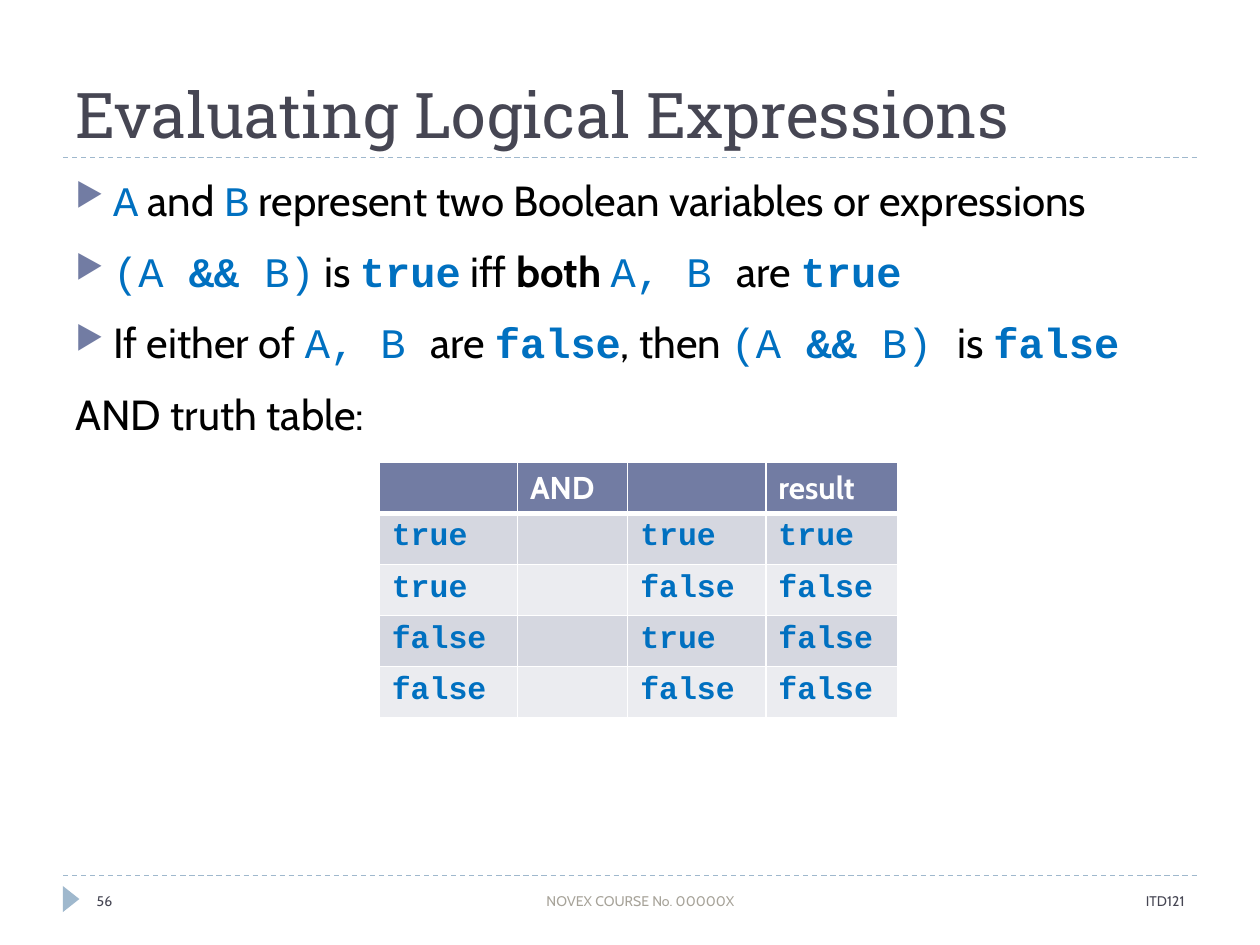
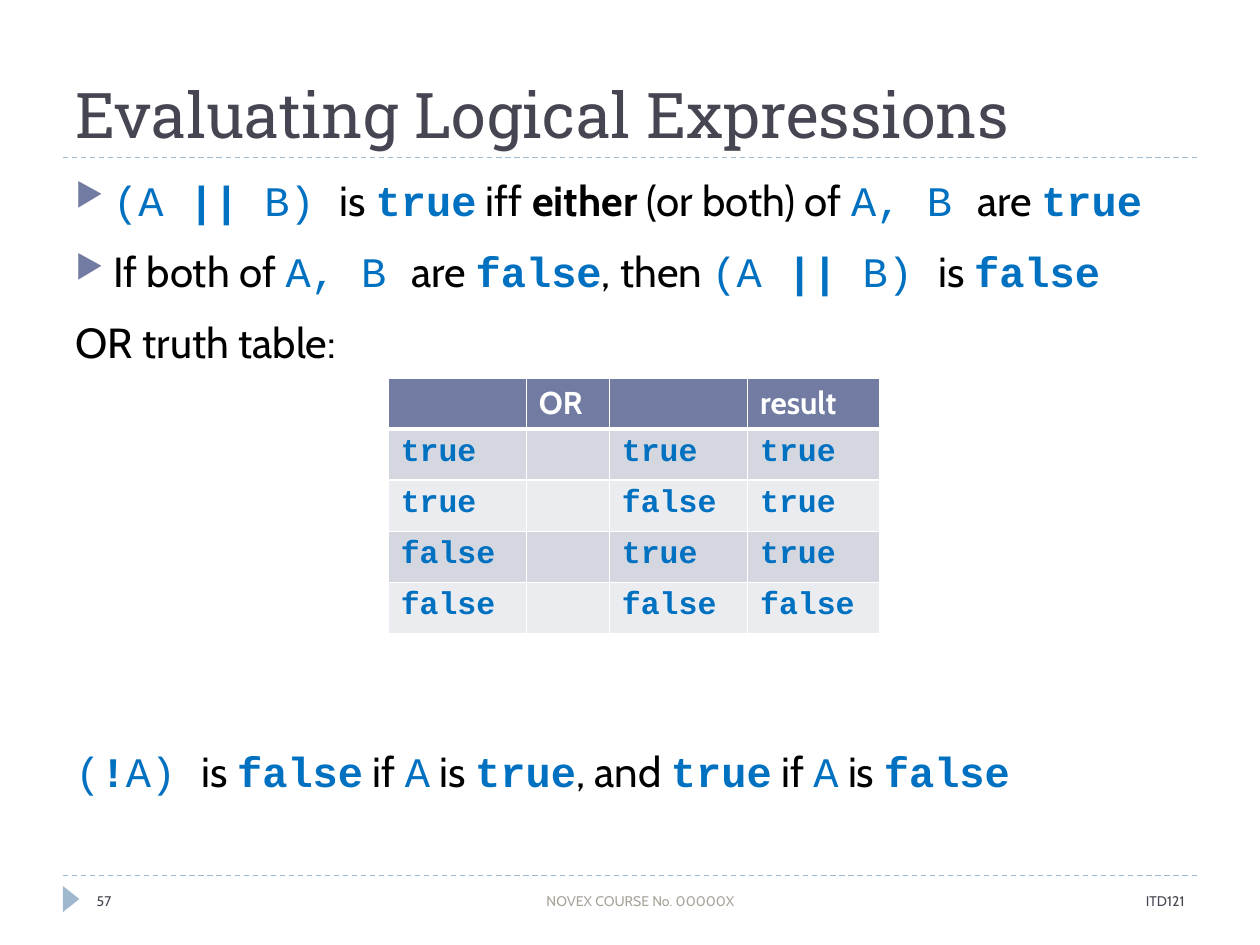
from itertools import product

from lxml.etree import SubElement as Sub
from pptx import Presentation
from pptx.dml.color import RGBColor as Color
from pptx.enum.dml import MSO_LINE_DASH_STYLE as Dash
from pptx.enum.shapes import MSO_CONNECTOR as Link, MSO_SHAPE as Shape
from pptx.enum.text import MSO_ANCHOR as Anchor, MSO_AUTO_SIZE as Auto, PP_ALIGN as Align
from pptx.oxml.ns import qn
from pptx.util import Pt

INK = Color(0x46, 0x46, 0x53)
BLACK = Color(0x00, 0x00, 0x00)
WHITE = Color(0xFF, 0xFF, 0xFF)
BLUE = Color(0x00, 0x70, 0xC0)
SKY = Color(0x9F, 0xB8, 0xCD)
STONE = Color(0xA7, 0xA3, 0x99)
SLATE = Color(0x72, 0x7C, 0xA3)
BANDS = Color(0xD5, 0xD7, 0xE0), Color(0xEB, 0xEC, 0xF0)

HEAD = {"name": "Roboto Slab", "size": Pt(36), "color": INK, "bold": False}
PROSE = {"name": "Cabin", "size": Pt(24), "color": BLACK, "bold": False}
CODE = PROSE | {"name": "Courier New", "color": BLUE}
NOTE = PROSE | {"size": Pt(8), "color": INK}
LABEL = PROSE | {"size": Pt(18), "color": WHITE, "bold": True}
VALUE = CODE | {"size": Pt(18), "bold": True}

LEFT, RIGHT = 36, 684
RULE, BASE = 90, 500.4
ROW = 29.2


def apply(item, form):
    for key, value in form.items():
        setattr(item, key, value)


def write(para, text, form):
    run = para.add_run()
    run.text = text
    apply(run.font, {k: v for k, v in form.items() if k != "color"})
    run.font.color.rgb = form["color"]


def bullet(para):
    props = para._p.get_or_add_pPr()
    props.set("marL", str(Pt(21.6)))
    props.set("indent", str(-Pt(21.6)))
    Sub(Sub(props, qn("a:buClr")), qn("a:srgbClr"), val=str(SLATE))
    Sub(props, qn("a:buSzPct"), val="76000")
    Sub(props, qn("a:buChar"), char="▶")


def border(cell, widths):
    props = cell._tc.get_or_add_tcPr()
    for side, width in zip("LRTB", widths):
        line = Sub(props, qn(f"a:ln{side}"), w=str(Pt(width)))
        Sub(Sub(line, qn("a:solidFill")), qn("a:srgbClr"), val=str(WHITE))


class Deck:
    def __init__(self):
        self.file = Presentation()
        apply(self.file, {"slide_width": Pt(720), "slide_height": Pt(540)})
        self.slide = None

    def start(self, title, number):
        self.slide = self.file.slides.add_slide(self.file.slide_layouts[5])
        for y in (BASE, RULE):
            self.rule(y)
        self.marker()
        self.title(title)
        self.note(504, 180, "ITD121", Align.RIGHT)
        self.note(228, 276, "NOVEX COURSE No. 00000X", Align.CENTER, STONE)
        self.note(48.2, 156, str(number), Align.LEFT)

    def rule(self, y):
        line = self.slide.shapes.add_connector(Link.STRAIGHT, Pt(LEFT), Pt(y), Pt(RIGHT), Pt(y))
        line.line.color.rgb = SKY
        apply(line.line, {"width": Pt(0.75), "dash_style": Dash.DASH})
        Sub(line._element.spPr, qn("a:effectLst"))

    def marker(self):
        mark = self.slide.shapes.add_shape(
            Shape.ISOSCELES_TRIANGLE, Pt(33.1), Pt(509), Pt(15), Pt(9.5))
        mark.rotation = 90
        mark.shadow.inherit = False
        mark.fill.solid()
        mark.fill.fore_color.rgb = SKY
        mark.line.fill.background()

    def title(self, text):
        shape = self.slide.shapes.title
        apply(shape, {"left": Pt(LEFT), "top": Pt(12.2),
                      "width": Pt(RIGHT - LEFT), "height": Pt(77.8)})
        apply(shape.text_frame, {"vertical_anchor": Anchor.BOTTOM,
                                 "auto_size": Auto.NONE, "word_wrap": True})
        para = shape.text_frame.paragraphs[0]
        para.alignment = Align.LEFT
        write(para, text, HEAD)

    def box(self, x, y, width, height, anchor):
        frame = self.slide.shapes.add_textbox(Pt(x), Pt(y), Pt(width), Pt(height)).text_frame
        apply(frame, {"word_wrap": True, "vertical_anchor": anchor})
        return frame

    def note(self, x, width, text, align, color=INK):
        para = self.box(x, BASE, width, 28.8, Anchor.MIDDLE).paragraphs[0]
        para.alignment = align
        write(para, text, NOTE | {"color": color})

    def body(self, lines):
        frame = self.box(LEFT, 96, 657.4, 388.8, Anchor.TOP)
        for i, (text, listed, gap) in enumerate(lines):
            para = frame.add_paragraph() if i else frame.paragraphs[0]
            para.space_before = Pt(gap)
            if listed:
                bullet(para)
            self.markup(para, text)

    def markup(self, para, text):
        for i, part in enumerate(text.split("`")):
            for j, piece in enumerate(part.split("*")):
                if piece:
                    write(para, piece, (CODE if i % 2 else PROSE) | {"bold": j % 2 == 1})

    def truth(self, x, y, name, width, test):
        pairs = product((True, False), repeat=2)
        rows = [("", name, "", "result")]
        rows += [(str(a).lower(), "", str(b).lower(), str(test((a, b))).lower())
                 for a, b in pairs]
        widths = 79, width, 79, 75.4
        table = self.slide.shapes.add_table(
            len(rows), len(widths), Pt(x), Pt(y), Pt(sum(widths)), Pt(ROW * len(rows))).table
        table.horz_banding = False
        for column, size in zip(table.columns, widths):
            column.width = Pt(size)
        for i, row in enumerate(rows):
            table.rows[i].height = Pt(ROW)
            for j, text in enumerate(row):
                cell = table.cell(i, j)
                border(cell, (1, 1, 3 if i == 1 else 1, 1 if i else 3))
                cell.fill.solid()
                cell.fill.fore_color.rgb = BANDS[(i - 1) % 2] if i else SLATE
                if text:
                    write(cell.text_frame.paragraphs[0], text, VALUE if i else LABEL)


def main():
    deck = Deck()
    title = "Evaluating Logical Expressions"

    deck.start(title, 56)
    deck.body([
        ("`A` and `B` represent two Boolean variables or expressions", True, 12),
        ("`(A *&&* B)` is `*true*` iff *both *`A, B `are `*true*`", True, 12),
        ("If either of `A, B `are `*false*`, then `(A *&&* B) `is `*false*`", True, 12),
        ("AND truth table:", False, 12),
    ])
    deck.truth(216.7, 264.2, "AND", 63, all)

    deck.start(title, 57)
    deck.body([
        ("`(A *||* B) `is `*true*` iff *either* (or both) of `A, B `are `*true*`", True, 12),
        ("If both of `A, B `are `*false*`, then `(A *||* B) `is `*false*`", True, 12),
        ("OR truth table:", False, 12),
        ("`(*!*A) `is `*false*` if `A` is `*true*`, and `*true*` if `A` is `*false*`", False, 216),
    ])
    deck.truth(221.8, 216, "OR", 47.4, any)

    deck.file.save("out.pptx")


if __name__ == "__main__":
    main()
